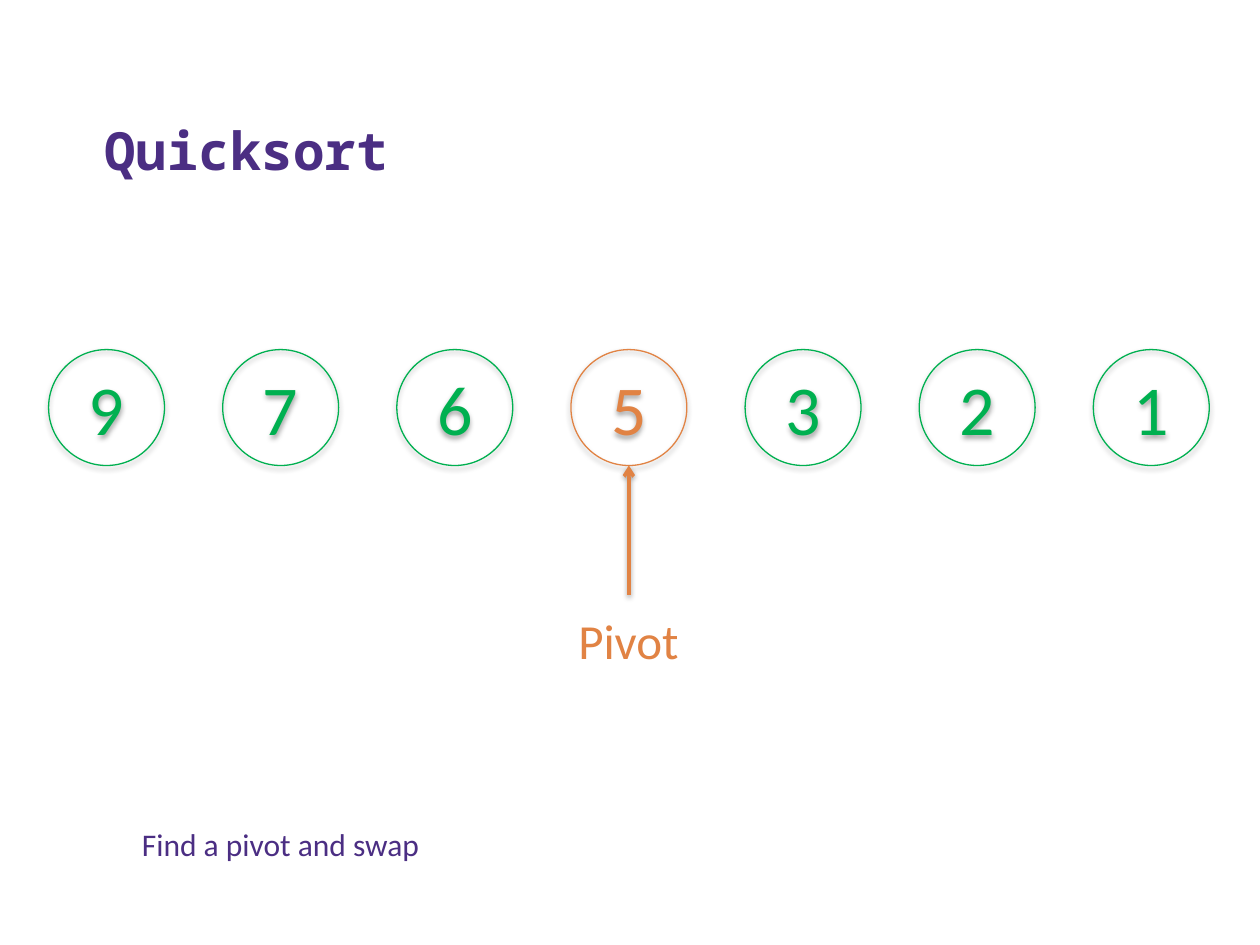
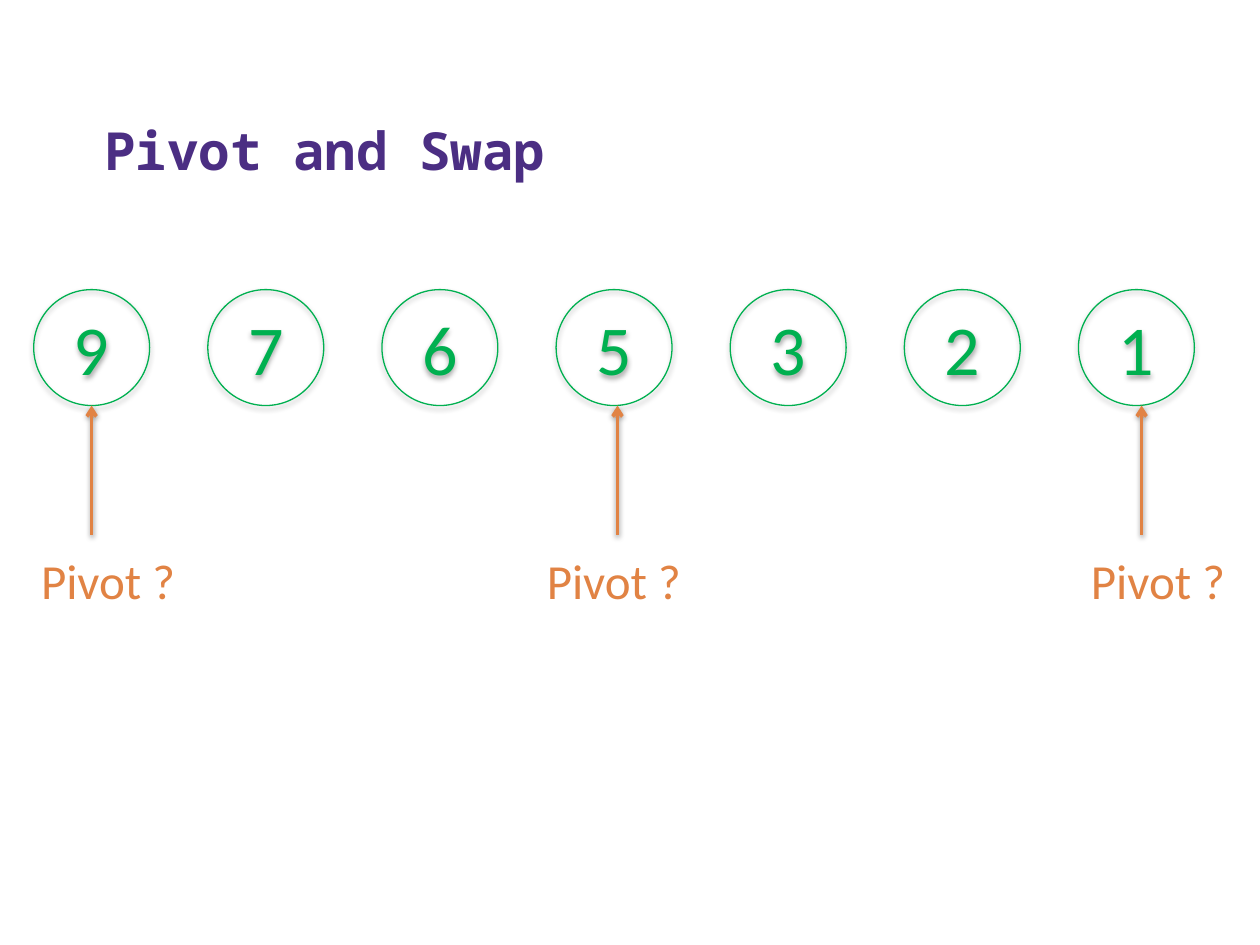
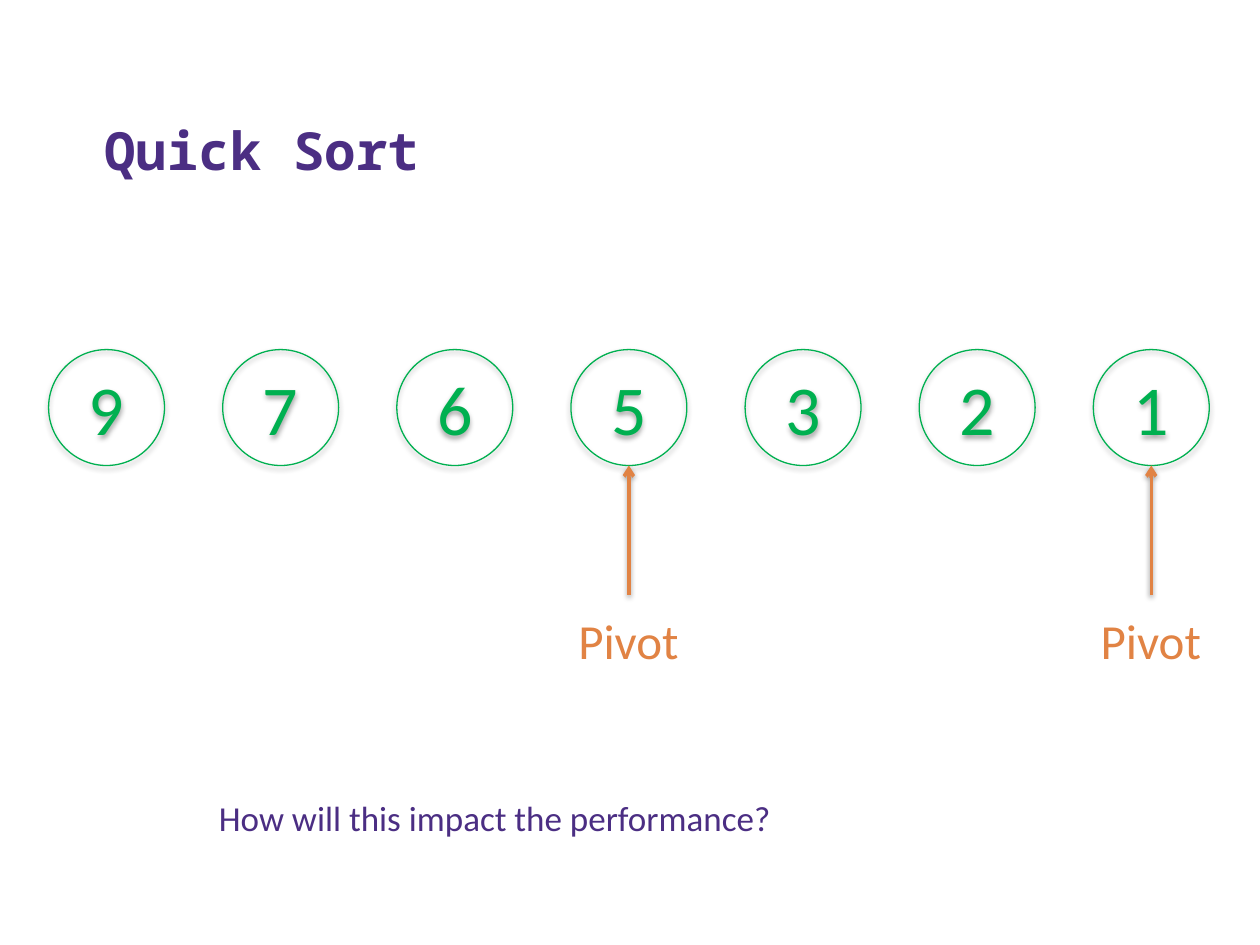
from dataclasses import dataclass

from lxml import etree
from pptx import Presentation
from pptx.dml.color import RGBColor
from pptx.enum.shapes import MSO_CONNECTOR, MSO_SHAPE
from pptx.enum.text import MSO_ANCHOR, MSO_AUTO_SIZE, PP_ALIGN
from pptx.oxml.ns import qn
from pptx.util import Pt

OVAL = MSO_SHAPE.OVAL
STRAIGHT = MSO_CONNECTOR.STRAIGHT
LEFT, CENTER = PP_ALIGN.LEFT, PP_ALIGN.CENTER
BOTTOM, MIDDLE, TOP = MSO_ANCHOR.BOTTOM, MSO_ANCHOR.MIDDLE, MSO_ANCHOR.TOP
NO_FIT, GROW = MSO_AUTO_SIZE.NONE, MSO_AUTO_SIZE.SHAPE_TO_FIT_TEXT


@dataclass(frozen=True)
class Theme:
    purple: RGBColor = RGBColor(0x4B, 0x2E, 0x83)
    green: RGBColor = RGBColor(0x00, 0xB0, 0x50)
    orange: RGBColor = RGBColor(0xE1, 0x83, 0x44)
    title_font: str = "Noto Sans Mono"
    body_font: str = "Calibri"
    title_size: float = 30
    number_size: float = 40
    pivot_size: float = 28
    outline: float = 0.75
    arrow_line: float = 2


THEME = Theme()
TITLE_ONLY_LAYOUT = 5
NUMBERS = [9, 7, 6, 5, 3, 2, 1]
DIAMETER = 66.25
PITCH = 99.5
ARROW_LENGTH = 73.75
LABEL_DROP = 79.5
LABEL_HEIGHT = 41
LABEL_INDENT = 36


def set_attributes(target, values):
    for name, value in values.items():
        setattr(target, name, value)


def write_text(shape, text, frame_format, alignment, font_format, color):
    frame = shape.text_frame
    set_attributes(frame, frame_format)
    frame.text = text
    paragraph = frame.paragraphs[0]
    paragraph.alignment = alignment
    font = paragraph.runs[0].font
    set_attributes(font, font_format)
    font.color.rgb = color


def add_shadow(shape, distance, opacity):
    """Add a soft black shadow straight below; opacity is in percent."""
    effects = etree.SubElement(shape._element.spPr, qn("a:effectLst"))
    shadow = etree.SubElement(effects, qn("a:outerShdw"), {
        "blurRad": str(Pt(3.1)), "dist": str(Pt(distance)),
        "dir": "5400000", "rotWithShape": "0"})
    black = etree.SubElement(shadow, qn("a:srgbClr"), val="000000")
    etree.SubElement(black, qn("a:alpha"), val=str(opacity * 1000))


def add_titled_slide(presentation, title):
    layout = presentation.slide_layouts[TITLE_ONLY_LAYOUT]
    slide = presentation.slides.add_slide(layout)
    placeholder = slide.shapes.title
    set_attributes(placeholder, {"left": Pt(52.5), "top": Pt(29.5),
                                 "width": Pt(644.5), "height": Pt(77.75)})
    write_text(placeholder, title,
               {"vertical_anchor": BOTTOM, "auto_size": NO_FIT, "word_wrap": True},
               LEFT,
               {"name": THEME.title_font, "size": Pt(THEME.title_size), "bold": True},
               THEME.purple)
    return slide


def add_number(slide, number, left, top, color):
    circle = slide.shapes.add_shape(OVAL, Pt(left), Pt(top), Pt(DIAMETER), Pt(DIAMETER))
    circle.fill.background()
    circle.line.color.rgb = color
    circle.line.width = Pt(THEME.outline)
    add_shadow(circle, 1.8, 35)
    write_text(circle, str(number), {"vertical_anchor": MIDDLE}, CENTER,
               {"name": THEME.body_font, "size": Pt(THEME.number_size)}, color)


def add_number_row(slide, left, top, highlighted=None):
    for index, number in enumerate(NUMBERS):
        color = THEME.orange if number == highlighted else THEME.green
        add_number(slide, number, left + index * PITCH, top, color)


def add_label(slide, text, box, size, color):
    label = slide.shapes.add_textbox(*map(Pt, box))
    write_text(label, text,
               {"word_wrap": False, "auto_size": GROW, "vertical_anchor": TOP},
               LEFT, {"name": THEME.body_font, "size": Pt(size)}, color)


def add_pivot(slide, text, x, row_top, label_width, indent=LABEL_INDENT):
    """Point an arrow up at the number row and label its foot."""
    tip = row_top + DIAMETER
    arrow = slide.shapes.add_connector(STRAIGHT, Pt(x), Pt(tip + ARROW_LENGTH),
                                       Pt(x), Pt(tip))
    arrow.line.color.rgb = THEME.orange
    arrow.line.width = Pt(THEME.arrow_line)
    etree.SubElement(arrow.line._get_or_add_ln(), qn("a:tailEnd"), type="arrow")
    add_shadow(arrow, 1.6, 38)
    add_label(slide, text, (x - indent, tip + LABEL_DROP, label_width, LABEL_HEIGHT),
              THEME.pivot_size, THEME.orange)


def center_of(number, row_left):
    return row_left + NUMBERS.index(number) * PITCH + DIAMETER / 2


def add_pivot_slide(presentation, title, pivots, note, note_box, note_size,
                    highlighted=None):
    row_left, row_top = 27.75, 199.75
    slide = add_titled_slide(presentation, title)
    add_number_row(slide, row_left, row_top, highlighted)
    for number in pivots:
        add_pivot(slide, "Pivot", center_of(number, row_left), row_top, 72.75)
    add_label(slide, note, note_box, note_size, THEME.purple)


def add_candidates_slide(presentation):
    row_left, row_top = 19.25, 165.5
    slide = add_titled_slide(presentation, "Pivot and Swap")
    add_number_row(slide, row_left, row_top)
    for number, shift, indent in ((5, 2, 47.5), (9, 0, LABEL_INDENT),
                                  (1, 3, LABEL_INDENT)):
        add_pivot(slide, "Pivot ?", center_of(number, row_left) + shift,
                  row_top, 92.25, indent)


def main():
    presentation = Presentation()
    set_attributes(presentation, {"slide_width": Pt(720), "slide_height": Pt(540)})
    add_pivot_slide(presentation, "Quicksort", [5], "Find a pivot and swap",
                    (74, 468, 175, 29), 18, highlighted=5)
    add_candidates_slide(presentation)
    add_pivot_slide(presentation, "Quick Sort", [5, 1],
                    "How will this impact the performance?",
                    (118, 451.5, 332.5, 31.5), 20)
    presentation.save("out.pptx")


if __name__ == "__main__":
    main()
